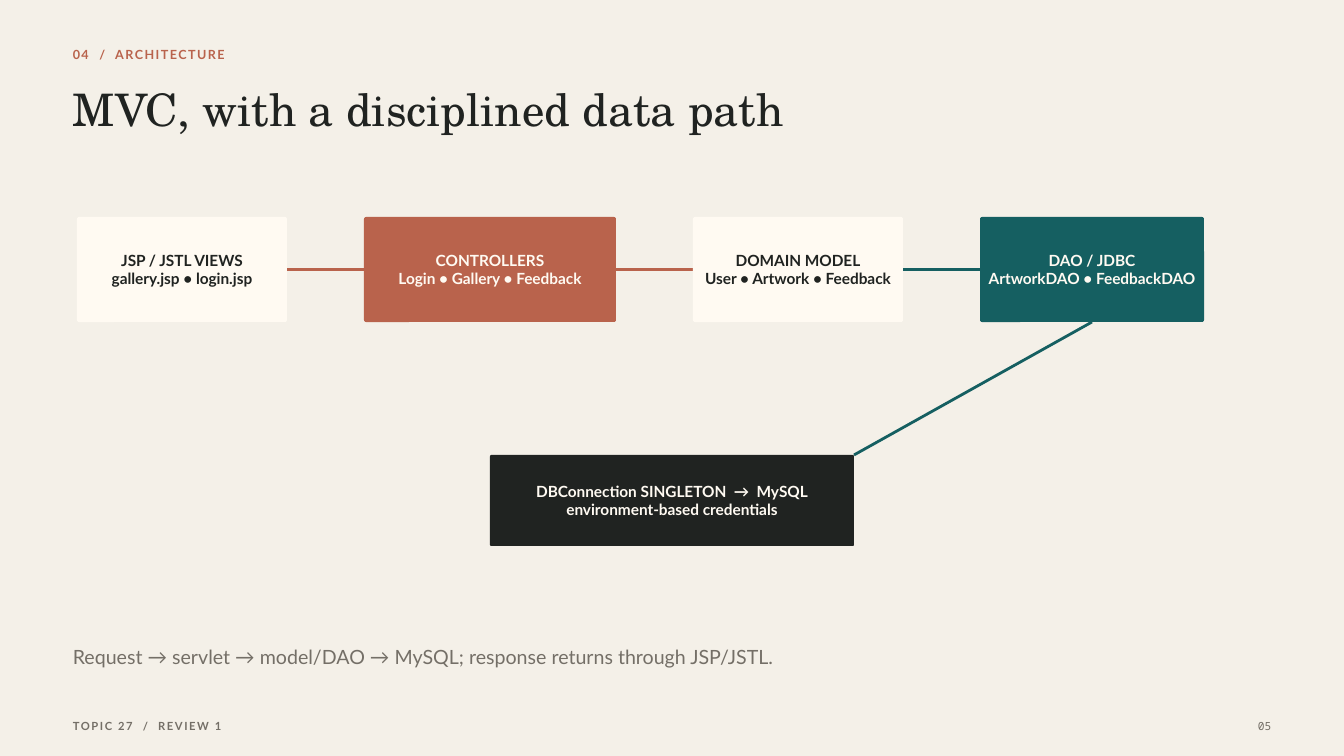
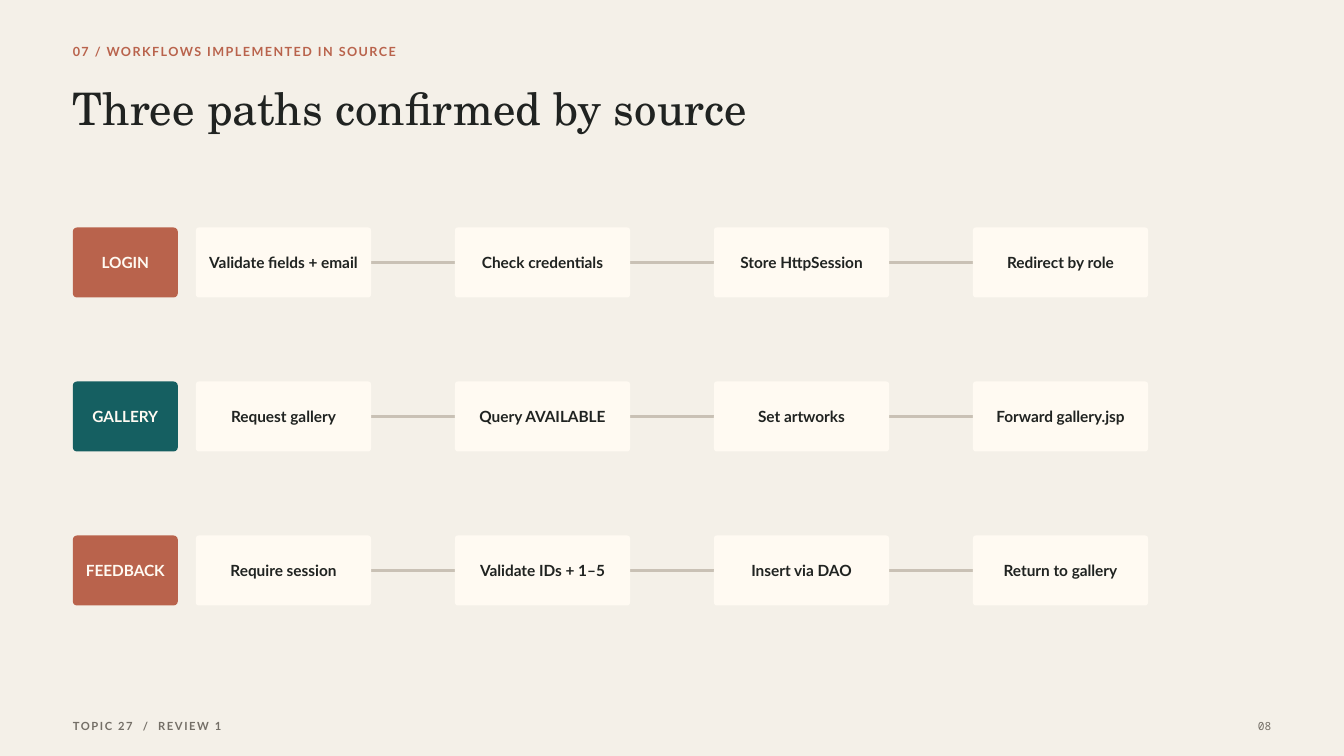
"""Build two slides on a web gallery: its architecture and its workflows."""
from dataclasses import dataclass
from itertools import pairwise

from lxml.etree import SubElement
from pptx import Presentation
from pptx.dml.color import RGBColor
from pptx.enum.shapes import MSO_CONNECTOR as Connector, MSO_SHAPE as Shape
from pptx.enum.text import MSO_ANCHOR as Anchor, MSO_AUTO_SIZE as AutoSize, PP_ALIGN as Align
from pptx.oxml.ns import qn
from pptx.util import Inches, Pt

PAPER = RGBColor(0xF4, 0xF0, 0xE8)
CREAM = RGBColor(0xFF, 0xFA, 0xF2)
INK = RGBColor(0x20, 0x23, 0x21)
CLAY = RGBColor(0xB9, 0x63, 0x4C)
TEAL = RGBColor(0x15, 0x5F, 0x61)
GREY = RGBColor(0x74, 0x6F, 0x67)
SAND = RGBColor(0xC9, 0xC1, 0xB5)

SANS, SERIF, MONO = "Lato", "TeX Gyre Schola", "Noto Sans Mono"

WIDTH, HEIGHT = Inches(20), Inches(11.25)
COLUMNS, ROWS = 1920, 1080
MARGIN = 104
BOX_INSET = 6


def col(n: float) -> int:
    """Return the length of n grid columns."""
    return round(WIDTH * n / COLUMNS)


def row(n: float) -> int:
    """Return the length of n grid rows."""
    return round(HEIGHT * n / ROWS)


@dataclass(frozen=True)
class Box:
    """A filled, rounded box on the grid with centred lines of text."""

    left: float
    top: float
    width: float
    height: float
    lines: tuple[str, ...]
    fill: RGBColor = CREAM
    radius: float = 3

    @property
    def right(self) -> float:
        """Return the column of the right edge."""
        return self.left + self.width

    @property
    def middle(self) -> float:
        """Return the row of the vertical centre."""
        return self.top + self.height / 2


@dataclass(frozen=True)
class Layer:
    """One architecture layer and the colour of the link that leaves it."""

    name: str
    members: str
    width: float
    fill: RGBColor
    link: RGBColor


@dataclass(frozen=True)
class Workflow:
    """A labelled sequence of steps."""

    label: str
    fill: RGBColor
    steps: tuple[str, ...]


def write(tf, *lines: str, size: float, spacing: float, color=INK, font=SANS,
          bold=False, tracking=0.0, align=Align.LEFT, inset=0) -> None:
    """Fill a text frame with one formatted paragraph per line."""
    tf.word_wrap = True
    tf.margin_left = tf.margin_right = col(inset)
    tf.margin_top = tf.margin_bottom = row(inset)
    for i, line in enumerate(lines):
        p = tf.add_paragraph() if i else tf.paragraphs[0]
        p.alignment, p.line_spacing = align, Pt(spacing)
        r = p.add_run()
        r.text = line
        r.font.name, r.font.size, r.font.bold = font, Pt(size), bold
        r.font.color.rgb = color
        if tracking:
            r._r.get_or_add_rPr().set("spc", str(round(tracking * 100)))


def add_text(s, text: str, left: float, top: float, width: float, height: float, **fmt) -> None:
    """Add a line of text at a grid position."""
    tf = s.shapes.add_textbox(col(left), row(top), col(width), row(height)).text_frame
    write(tf, text, **fmt)
    tf.auto_size = AutoSize.SHAPE_TO_FIT_TEXT


def add_box(s, box: Box) -> None:
    """Draw a box with its text."""
    sp = s.shapes.add_shape(Shape.ROUNDED_RECTANGLE, col(box.left), row(box.top),
                            col(box.width), row(box.height))
    sp.adjustments[0] = box.radius / min(box.width, box.height)
    sp.shadow.inherit = False
    sp.fill.solid()
    sp.fill.fore_color.rgb = box.fill
    sp.line.fill.background()
    sp.text_frame.vertical_anchor = Anchor.MIDDLE
    write(sp.text_frame, *box.lines, size=16.5, spacing=19, bold=True, align=Align.CENTER,
          color=INK if box.fill == CREAM else CREAM, inset=BOX_INSET)


def add_line(s, x1: float, y1: float, x2: float, y2: float, color: RGBColor, weight: float) -> None:
    """Draw a straight line between two grid points."""
    line = s.shapes.add_connector(Connector.STRAIGHT, col(x1), row(y1), col(x2), row(y2))
    line.line.color.rgb, line.line.width = color, Pt(weight)
    SubElement(line._element.spPr, qn("a:effectLst"))


def link(s, a: Box, b: Box, color: RGBColor, weight: float) -> None:
    """Join a box to the next one on its right."""
    add_line(s, a.right, a.middle, b.left, b.middle, color, weight)


def add_slide(prs, section: str, title: str, page: str, section_top: float, title_top: float):
    """Add a slide with the shared background, heading and footer."""
    s = prs.slides.add_slide(prs.slide_layouts[6])
    s.background.fill.solid()
    s.background.fill.fore_color.rgb = PAPER
    add_text(s, section, MARGIN, section_top, 550, 23, size=13.5, spacing=18.9,
             color=CLAY, bold=True, tracking=1.6)
    add_text(s, title, MARGIN, title_top, 1450, 69, size=48, spacing=50.4, font=SERIF)
    add_text(s, "TOPIC 27  /  REVIEW 1", MARGIN, 1025, 420, 20, size=12, spacing=16.8,
             color=GREY, bold=True, tracking=1.7)
    add_text(s, page, 1740, 1025, 76, 20, size=12, spacing=16.8, color=GREY,
             font=MONO, align=Align.RIGHT)
    return s


LAYERS = (
    Layer("JSP / JSTL VIEWS", "gallery.jsp • login.jsp", 300, CREAM, CLAY),
    Layer("CONTROLLERS", "Login • Gallery • Feedback", 360, CLAY, CLAY),
    Layer("DOMAIN MODEL", "User • Artwork • Feedback", 300, CREAM, TEAL),
    Layer("DAO / JDBC", "ArtworkDAO • FeedbackDAO", 320, TEAL, TEAL),
)
LAYER_LEFT, LAYER_GAP = 110, 110

WORKFLOWS = (
    Workflow("LOGIN", CLAY, ("Validate fields + email", "Check credentials",
                             "Store HttpSession", "Redirect by role")),
    Workflow("GALLERY", TEAL, ("Request gallery", "Query AVAILABLE",
                               "Set artworks", "Forward gallery.jsp")),
    Workflow("FEEDBACK", CLAY, ("Require session", "Validate IDs + 1–5",
                                "Insert via DAO", "Return to gallery")),
)
FLOW_TOP, FLOW_PITCH, FLOW_HEIGHT = 325, 220, 100
STEP_LEFT, STEP_PITCH, STEP_WIDTH = 280, 370, 250


def architecture(prs) -> None:
    """Draw the layers and the database connection below them."""
    s = add_slide(prs, "04  /  ARCHITECTURE", "MVC, with a disciplined data path", "05", 63.5, 127)
    boxes, left = [], LAYER_LEFT
    for layer in LAYERS:
        boxes.append(Box(left, 310, layer.width, 150, (layer.name, layer.members), layer.fill))
        left += layer.width + LAYER_GAP
    for layer, (a, b) in zip(LAYERS, pairwise(boxes)):
        link(s, a, b, layer.link, 3)
    dao = boxes[-1]
    database = Box(700, 650, 520, 130, ("DBConnection SINGLETON  →  MySQL",
                                        "environment-based credentials"), INK, 2)
    add_line(s, dao.left + dao.width / 2, dao.top + dao.height,
             database.right, database.top, LAYERS[-1].link, 3)
    for box in (*boxes, database):
        add_box(s, box)
    add_text(s, "Request → servlet → model/DAO → MySQL; response returns through JSP/JSTL.",
             MARGIN, 917, 1500, 35, size=21, spacing=28.4, color=GREY)


def workflows(prs) -> None:
    """Draw one row of linked steps for each workflow."""
    s = add_slide(prs, "07 / WORKFLOWS IMPLEMENTED IN SOURCE", "Three paths confirmed by source",
                  "08", 59.5, 125)
    for i, flow in enumerate(WORKFLOWS):
        top = FLOW_TOP + i * FLOW_PITCH
        add_box(s, Box(MARGIN, top, 150, FLOW_HEIGHT, (flow.label,), flow.fill, 6))
        steps = [Box(STEP_LEFT + j * STEP_PITCH, top, STEP_WIDTH, FLOW_HEIGHT, (step,), radius=4)
                 for j, step in enumerate(flow.steps)]
        for a, b in pairwise(steps):
            link(s, a, b, SAND, 2.25)
        for step in steps:
            add_box(s, step)


def main() -> None:
    """Build and save the presentation."""
    prs = Presentation()
    prs.slide_width, prs.slide_height = WIDTH, HEIGHT
    architecture(prs)
    workflows(prs)
    prs.save("out.pptx")


if __name__ == "__main__":
    main()
